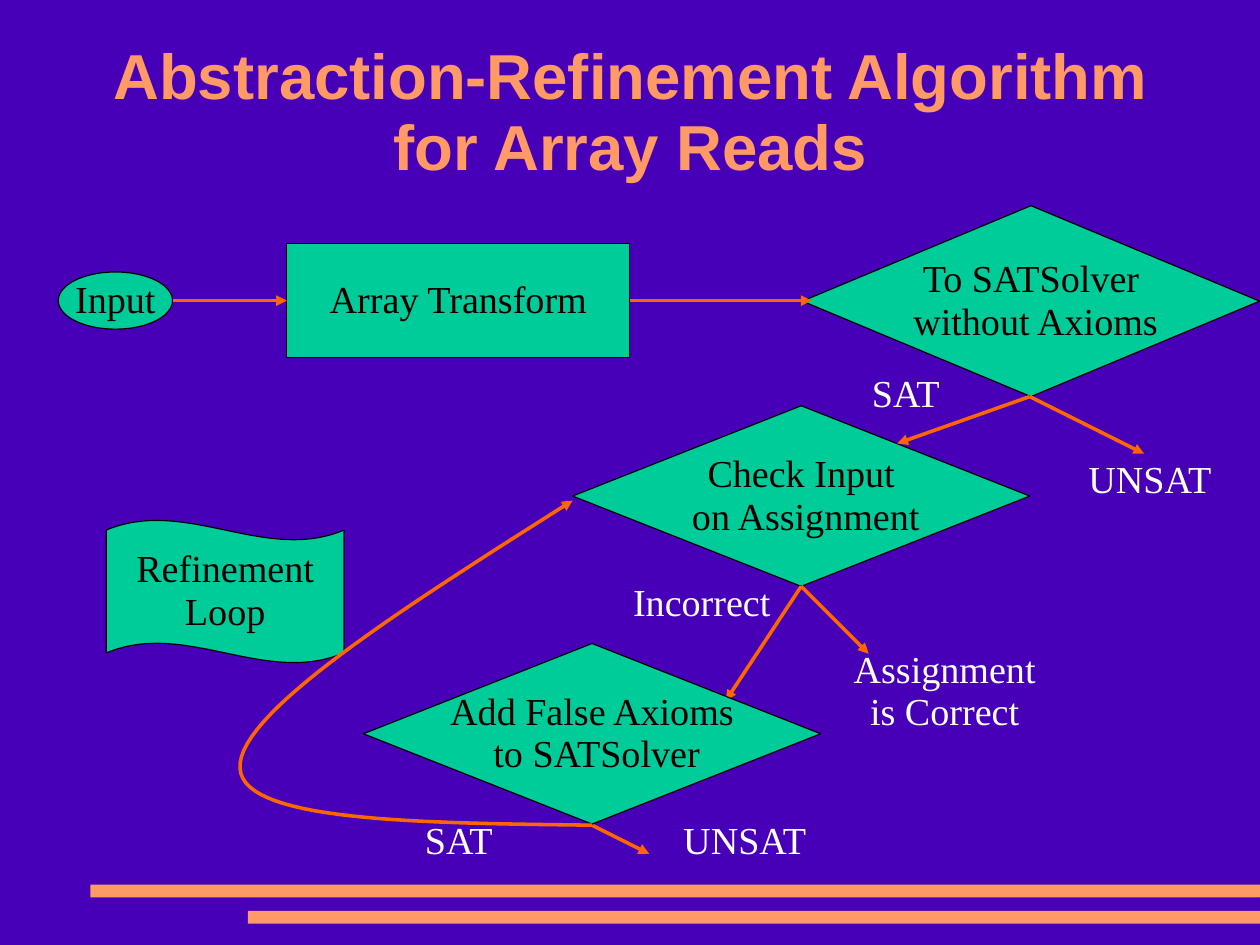
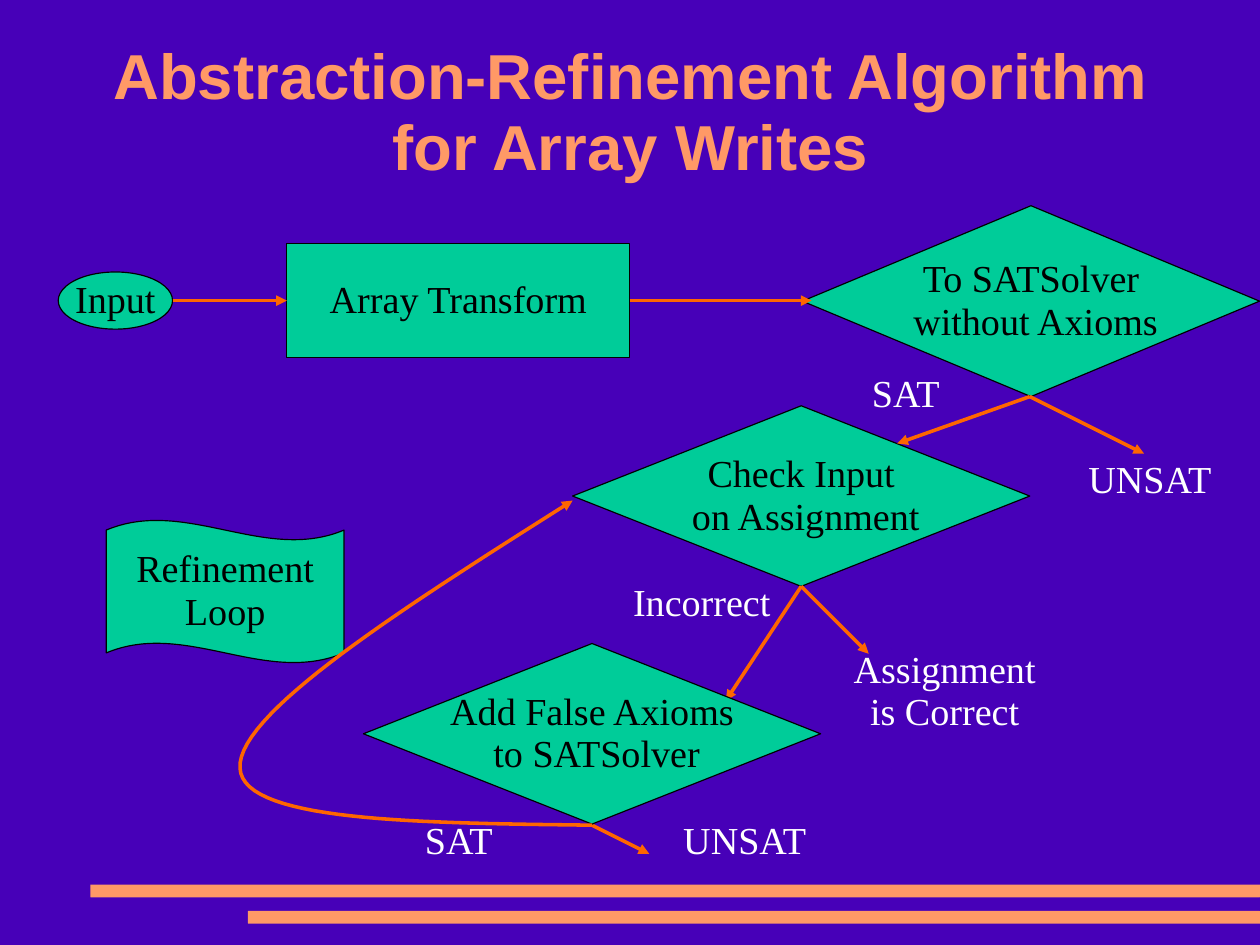
from dataclasses import dataclass

from lxml.etree import SubElement
from pptx import Presentation
from pptx.dml.color import RGBColor
from pptx.enum.shapes import MSO_CONNECTOR, MSO_SHAPE
from pptx.enum.text import MSO_ANCHOR, MSO_AUTO_SIZE, PP_ALIGN
from pptx.oxml.ns import qn
from pptx.util import Inches, Pt

COLORS = {
    "background": "4700B8",
    "accent": "FF9966",
    "step": "00CC99",
    "arrow": "FF6600",
    "outline": "000000",
    "label": "FFFFFF",
}
TITLE_FONT = "Arial"
BODY_FONT = "Times New Roman"
CM_PER_INCH = 2.54
SLIDE_WIDTH, SLIDE_HEIGHT = 28 / CM_PER_INCH, 21 / CM_PER_INCH
CURVE_STEPS = 30

Point = tuple[float, float]
Area = tuple[float, float, float, float]


@dataclass(frozen=True)
class Step:
    kind: MSO_SHAPE
    area: Area
    lines: tuple[str, ...]
    indent: float = 0


@dataclass(frozen=True)
class Label:
    area: Area
    text: str


@dataclass(frozen=True)
class Arrow:
    start: Point
    end: Point


@dataclass(frozen=True)
class Band:
    left: float
    top: float


BANDS = (Band(0.79, 7.74), Band(2.17, 7.97))
SOLVER_EXIT = (9.01, 3.47)
CHECK_EXIT = (7.01, 5.13)
AXIOMS_EXIT = (5.18, 7.22)

SOLVER = Step(MSO_SHAPE.FLOWCHART_DECISION, (7.02, 1.8, 4, 1.67),
              ("To SATSolver", "without Axioms"), indent=0.08)
CHECK = Step(MSO_SHAPE.FLOWCHART_DECISION, (5.01, 3.55, 4, 1.58),
             ("Check Input", "on Assignment"), indent=0.08)
ADD_AXIOMS = Step(MSO_SHAPE.FLOWCHART_DECISION, (3.18, 5.63, 4, 1.58),
                  ("Add False Axioms", "to SATSolver"), indent=0.08)
TRANSFORM = Step(MSO_SHAPE.RECTANGLE, (2.51, 2.13, 3, 1), ("Array Transform",))
INPUT = Step(MSO_SHAPE.OVAL, (0.51, 2.38, 1, 0.5), ("Input",))
REFINEMENT = Step(MSO_SHAPE.WAVE, (0.93, 4.55, 2.08, 1.25), ("Refinement", "Loop"))

FLOW = (
    TRANSFORM,
    INPUT,
    REFINEMENT,
    SOLVER,
    CHECK,
    Arrow((1.51, 2.63), (2.51, 2.63)),
    Arrow((5.51, 2.63), (7.1, 2.63)),
    Arrow(SOLVER_EXIT, (7.85, 3.88)),
    Arrow(SOLVER_EXIT, (10.01, 3.97)),
    Arrow(CHECK_EXIT, (6.35, 6.13)),
    Arrow(CHECK_EXIT, (7.6, 5.72)),
    Arrow(AXIOMS_EXIT, (5.68, 7.47)),
    Label((7.51, 3.22, 0.83, 0.47), "SAT"),
    Label((9.35, 3.97, 1.42, 0.47), "UNSAT"),
    Label((5.43, 5.05, 1.42, 0.47), "Incorrect"),
    Label((7.35, 5.63, 1.83, 0.85), "Assignment is Correct"),
    Label((3.43, 7.13, 1.17, 0.47), "SAT"),
    Label((5.85, 7.13, 1.33, 0.47), "UNSAT"),
    ADD_AXIOMS,
)
LOOP_CURVES = (
    (AXIOMS_EXIT, (3.65, 7.2), (2.12, 7.19), (2.1, 6.72)),
    ((2.1, 6.72), (2.07, 6.24), (3.54, 5.31), (5.01, 4.38)),
)


def rgb(name: str) -> RGBColor:
    return RGBColor.from_string(COLORS[name])


def to_emu(values) -> list:
    return [Inches(value) for value in values]


def write_text(frame, *lines: str, color: str, font: str = BODY_FONT, size: float = 24,
               bold: bool = False, wrap: bool = True, anchor=MSO_ANCHOR.TOP,
               margins: Point = (0.1, 0.05), auto_size=MSO_AUTO_SIZE.NONE,
               last_indent: float = 0) -> None:
    frame.word_wrap = wrap
    frame.auto_size = auto_size
    frame.vertical_anchor = anchor
    frame.margin_left = frame.margin_right = Inches(margins[0])
    frame.margin_top = frame.margin_bottom = Inches(margins[1])
    frame.text = "\n".join(lines)
    for paragraph in frame.paragraphs:
        paragraph.alignment = PP_ALIGN.CENTER
        paragraph.line_spacing = 0.93
        paragraph.space_before = Pt(0)
        paragraph.font.name = font
        paragraph.font.size = Pt(size)
        paragraph.font.bold = bold
        paragraph.font.color.rgb = rgb(color)
    if last_indent:
        properties = frame.paragraphs[-1].runs[0].font
        properties.bold = bold
        text_body = frame.paragraphs[-1].runs[0].text
        frame.paragraphs[-1].runs[0].text = text_body
        last_line = frame.paragraphs[-1].alignment
        frame.paragraphs[-1].alignment = last_line
        body = frame.paragraphs[-1].line_spacing
        frame.paragraphs[-1].line_spacing = body


def style_arrow(arrow) -> None:
    arrow.line.color.rgb = rgb("arrow")
    arrow.line.width = Pt(2.25)
    outline = arrow.element.spPr.find(qn("a:ln"))
    SubElement(outline, qn("a:tailEnd"), type="triangle")


def draw_arrow(slide, arrow: Arrow) -> None:
    connector = slide.shapes.add_connector(
        MSO_CONNECTOR.STRAIGHT, *to_emu(arrow.start + arrow.end))
    style_arrow(connector)
    SubElement(connector.element.spPr, qn("a:effectLst"))


def draw_step(slide, step: Step) -> None:
    box = slide.shapes.add_shape(step.kind, *to_emu(step.area))
    box.shadow.inherit = False
    box.fill.solid()
    box.fill.fore_color.rgb = rgb("step")
    box.line.color.rgb = rgb("outline")
    box.line.width = Pt(0.75)
    if step.kind == MSO_SHAPE.WAVE:
        box.adjustments[0] = 0.07
    write_text(box.text_frame, *step.lines, color="outline", wrap=False,
               anchor=MSO_ANCHOR.MIDDLE)
    if step.indent:
        last_line = list(box.element.iter(qn("a:pPr")))[-1]
        last_line.set("marL", str(Inches(step.indent)))
        last_line.set("indent", "0")


def draw_label(slide, label: Label) -> None:
    caption = slide.shapes.add_textbox(*to_emu(label.area))
    write_text(caption.text_frame, label.text, color="label",
               auto_size=MSO_AUTO_SIZE.SHAPE_TO_FIT_TEXT)


def bezier_point(curve: tuple[Point, ...], t: float) -> list:
    weights = ((1 - t) ** 3, 3 * t * (1 - t) ** 2, 3 * t ** 2 * (1 - t), t ** 3)
    return to_emu(sum(weight * point[axis] for weight, point in zip(weights, curve))
                  for axis in (0, 1))


def draw_loop(slide) -> None:
    builder = slide.shapes.build_freeform(*to_emu(AXIOMS_EXIT))
    builder.add_line_segments(
        [bezier_point(curve, step / CURVE_STEPS)
         for curve in LOOP_CURVES for step in range(1, CURVE_STEPS + 1)],
        close=False)
    loop = builder.convert_to_shape()
    loop.shadow.inherit = False
    loop.fill.background()
    style_arrow(loop)


def draw_band(slide, band: Band):
    bar = slide.shapes.add_shape(
        MSO_SHAPE.ROUNDED_RECTANGLE,
        *to_emu((band.left, band.top, SLIDE_WIDTH - band.left, 0.11)))
    bar.adjustments[0] = 0.02
    bar.shadow.inherit = False
    bar.fill.solid()
    bar.fill.fore_color.rgb = rgb("accent")
    bar.line.fill.background()
    return bar


def share_bands(slide) -> None:
    for band in BANDS:
        bar = draw_band(slide, band)
        slide.slide_layout.shapes.element.append(bar.element)


def write_title(slide, text: str) -> None:
    title = slide.shapes.title
    title.left, title.top, title.width, title.height = to_emu((0.81, 0.31, 9.41, 1.37))
    write_text(title.text_frame, text, color="accent", font=TITLE_FONT, size=40,
               bold=True, anchor=MSO_ANCHOR.MIDDLE, margins=(0, 0))


DRAWERS = {Step: draw_step, Label: draw_label, Arrow: draw_arrow}


def draw_flow(slide) -> None:
    for part in FLOW:
        DRAWERS[type(part)](slide, part)
    draw_loop(slide)


def main() -> None:
    deck = Presentation()
    deck.slide_width, deck.slide_height = to_emu((SLIDE_WIDTH, SLIDE_HEIGHT))
    backdrop = deck.slide_master.background.fill
    backdrop.solid()
    backdrop.fore_color.rgb = rgb("background")
    for operation in ("Reads", "Writes"):
        slide = deck.slides.add_slide(deck.slide_layouts[5])
        write_title(slide, f"Abstraction-Refinement Algorithm for Array {operation}")
        draw_flow(slide)
    share_bands(deck.slides[0])
    deck.save("out.pptx")


if __name__ == "__main__":
    main()
